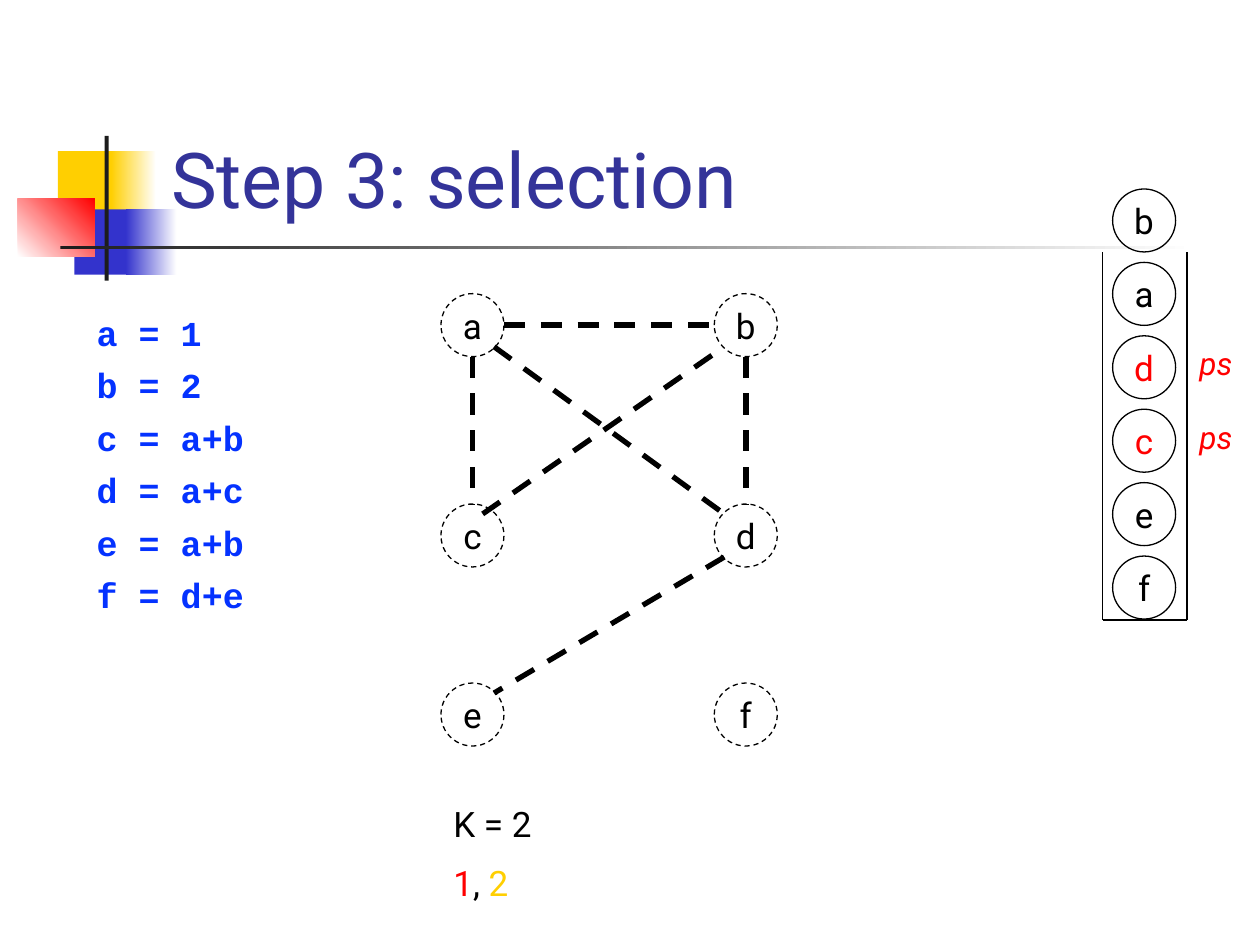
from lxml import etree
from pptx import Presentation
from pptx.dml.color import RGBColor
from pptx.enum.dml import MSO_LINE
from pptx.enum.shapes import MSO_CONNECTOR, MSO_SHAPE
from pptx.enum.text import MSO_ANCHOR, PP_ALIGN
from pptx.oxml.ns import qn
from pptx.util import Cm, Pt

BLACK = RGBColor(0x00, 0x00, 0x00)
WHITE = RGBColor(0xFF, 0xFF, 0xFF)
RED = RGBColor(0xFF, 0x00, 0x00)
YELLOW = RGBColor(0xFF, 0xCF, 0x01)
BLUE = RGBColor(0x33, 0x33, 0xCC)
CHARCOAL = RGBColor(0x1C, 0x1C, 0x1C)
TITLE_BLUE = RGBColor(0x33, 0x33, 0x99)
CODE_BLUE = RGBColor(0x04, 0x32, 0xFF)

TITLE = {"name": "Roboto", "size": Pt(44)}
CODE = {"name": "Courier New", "size": Pt(20), "bold": True}
LABEL = {"name": "Roboto", "size": Pt(20)}
SPILL = {"name": "Roboto", "size": Pt(18), "italic": True}

NODE = 1.27  # diameter of every node, in cm


def write(frame, lines, style, **paragraph_format):
    """Fill a text frame; each line is a list of (text, colour) runs."""
    for i, runs in enumerate(lines):
        paragraph = frame.paragraphs[0] if i == 0 else frame.add_paragraph()
        for key, value in paragraph_format.items():
            setattr(paragraph, key, value)
        for text, color in runs:
            run = paragraph.add_run()
            run.text = text
            for key, value in style.items():
                setattr(run.font, key, value)
            run.font.color.rgb = color


def add_node(x, y, name, color=BLACK, dash=None):
    node = slide.shapes.add_shape(MSO_SHAPE.OVAL, Cm(x), Cm(y), Cm(NODE), Cm(NODE))
    node.shadow.inherit = False
    node.fill.background()
    node.line.color.rgb = BLACK
    node.line.width = Pt(0.75)
    node.line.dash_style = dash
    node.text_frame.word_wrap = False
    node.text_frame.vertical_anchor = MSO_ANCHOR.MIDDLE
    write(node.text_frame, [[(name, color)]], LABEL, alignment=PP_ALIGN.CENTER)


prs = Presentation()
prs.slide_width, prs.slide_height = Cm(25.4), Cm(19.05)
slide = prs.slides.add_slide(prs.slide_layouts[6])

# Decoration beside the title: box, colours from start to end, angle
decoration = [
    ((1.17, 3.05, 1.22, 1.32), [YELLOW], 0),
    ((2.24, 3.05, 0.91, 1.32), [YELLOW, WHITE], 0),
    ((1.5, 4.22, 1.17, 1.32), [BLUE], 0),
    ((2.54, 4.22, 1.02, 1.32), [BLUE, WHITE], 0),
    ((0.36, 4.01, 1.55, 1.17), [WHITE, RED], 45),
    ((2.11, 2.74, 0.08, 2.92), [CHARCOAL], 0),
    ((1.22, 4.95, 22.86, 0.08), [CHARCOAL, WHITE], 0),
]
for box, colors, angle in decoration:
    block = slide.shapes.add_shape(MSO_SHAPE.RECTANGLE, *map(Cm, box))
    block.shadow.inherit = False
    block.line.fill.background()
    if len(colors) == 1:
        block.fill.solid()
        block.fill.fore_color.rgb = colors[0]
    else:
        block.fill.gradient()
        block.fill.gradient_angle = angle
        for stop, color in zip(block.fill.gradient_stops, colors):
            stop.color.rgb = color

# Title, program, colour list and the potential-spill marks
program = ["a = 1", "b = 2", "c = a+b", "d = a+c", "e = a+b", "f = d+e"]
colors_left = [[("K = 2", BLACK)], [("1", RED), (", ", BLACK), ("2", YELLOW)]]
texts = [
    ((3.2, 0.58, 21.64, 4.06), [[("Step 3: selection", TITLE_BLUE)]], TITLE, 0, MSO_ANCHOR.BOTTOM),
    ((1.7, 6.15, 5.28, 6.27), [[(line, CODE_BLUE)] for line in program], CODE, 6, MSO_ANCHOR.TOP),
    ((8.89, 16.05, 6.35, 2.36), colors_left, LABEL, 10, MSO_ANCHOR.TOP),
]
for y in (6.81, 8.31):
    texts.append(((23.93, y, 1.48, 1.02), [[("ps", RED)]], SPILL, 9, MSO_ANCHOR.TOP))
for box, lines, style, before, anchor in texts:
    frame = slide.shapes.add_textbox(*map(Cm, box)).text_frame
    frame.word_wrap = True
    frame.vertical_anchor = anchor
    write(frame, lines, style, space_before=Pt(before))

# Interference graph nodes
for y, row in zip((5.92, 10.16, 13.77), ("ab", "cd", "ef")):
    for x, name in zip((8.89, 14.4), row):
        add_node(x, y, name, dash=MSO_LINE.DASH)

# Graph edges and the sides of the stack: x1, y1, x2, y2
edges = [
    (10.16, 6.55, 14.4, 6.55),    # a-b
    (9.96, 6.99, 14.6, 10.36),    # a-d
    (14.6, 11.23, 9.96, 13.97),   # d-e
    (9.73, 10.36, 14.6, 6.99),    # c-b
    (9.53, 7.19, 9.53, 10.16),    # a-c
    (15.04, 7.19, 15.04, 10.16),  # b-d
]
stack_sides = [
    (22.23, 5.08, 22.23, 12.5),
    (22.23, 12.5, 23.93, 12.5),
    (23.93, 5.08, 23.93, 12.5),
]
for group, width, dash in ((edges, 3, MSO_LINE.DASH), (stack_sides, 0.75, None)):
    for ends in group:
        line = slide.shapes.add_connector(MSO_CONNECTOR.STRAIGHT, *map(Cm, ends))
        line.line.color.rgb = BLACK
        line.line.width = Pt(width)
        line.line.dash_style = dash
        etree.SubElement(line._element.spPr, qn("a:effectLst"))

# Stack contents, top to bottom; potential spills in red
for i, name in enumerate("badcef"):
    add_node(22.43, 3.81 + 1.48 * i, name, RED if name in "dc" else BLACK)

prs.save("out.pptx")
